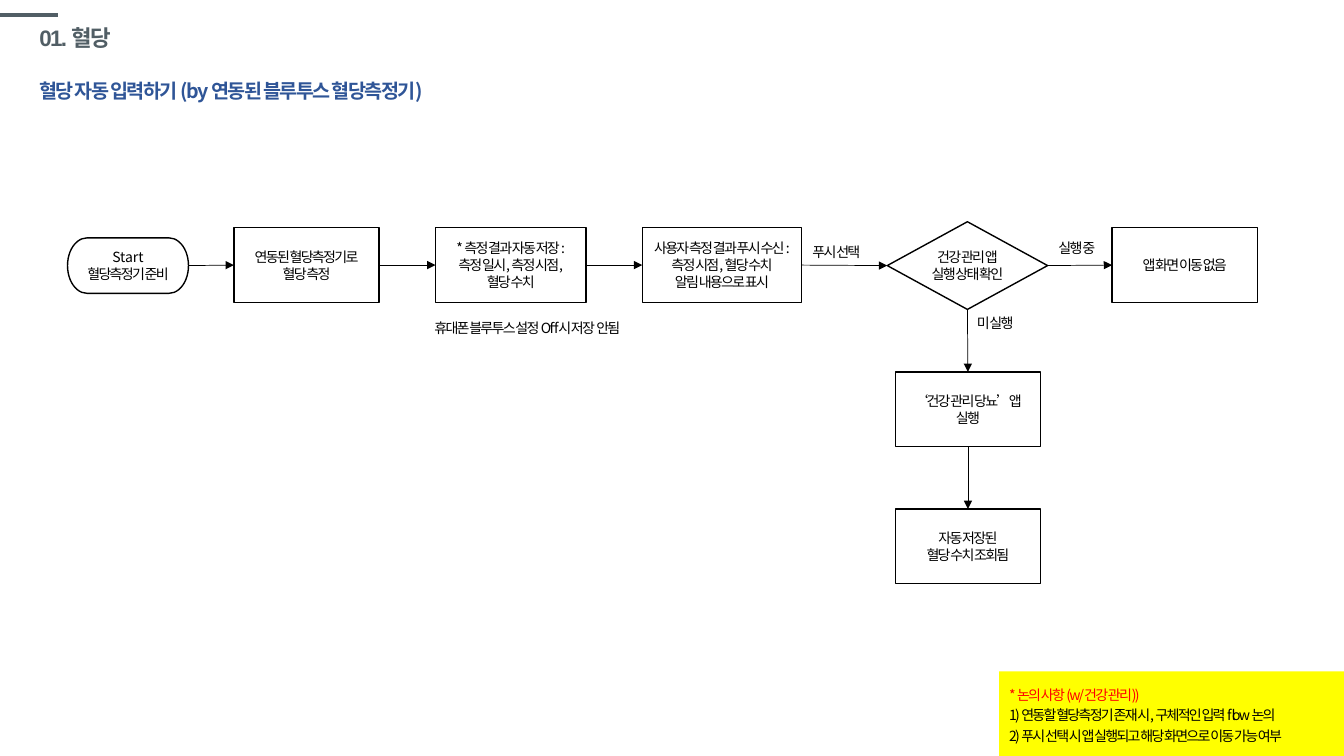
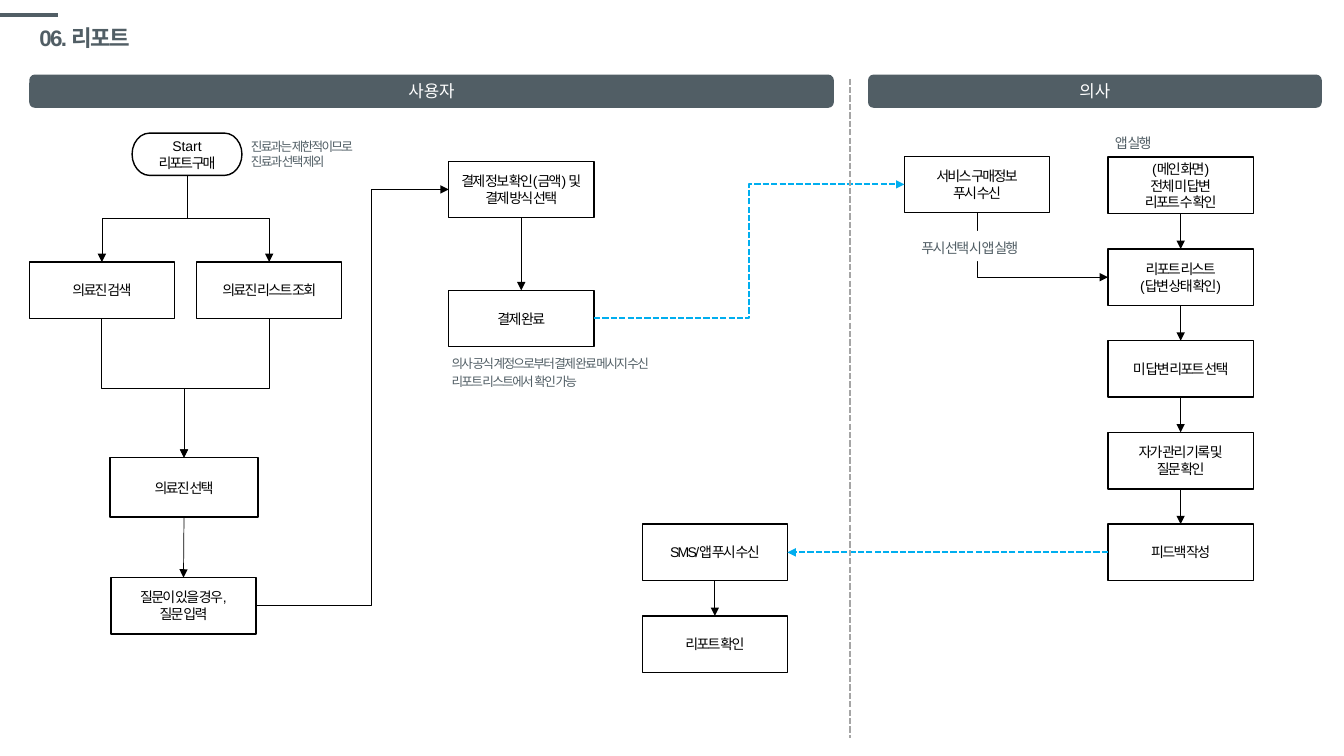
import lxml.etree
import pptx
import pptx.dml.color
import pptx.enum.dml
import pptx.enum.shapes
import pptx.enum.text
import pptx.oxml.ns
import pptx.util

Inches, Pt = pptx.util.Inches, pptx.util.Pt
SHAPE = pptx.enum.shapes.MSO_SHAPE
LINK = pptx.enum.shapes.MSO_CONNECTOR
ALIGN = pptx.enum.text.PP_ALIGN
ANCHOR = pptx.enum.text.MSO_ANCHOR
FIT = pptx.enum.text.MSO_AUTO_SIZE
DASH = pptx.enum.dml.MSO_LINE.SQUARE_DOT
qn = pptx.oxml.ns.qn

SANS, LATIN = "Noto Sans CJK KR", "Arial"
SLATE, BLACK, WHITE = "515E65", "000000", "FFFFFF"
NAVY, CYAN, GRAY, YELLOW, RED = "2F5597", "00AEEF", "A5A5A5", "FFFF00", "FF0000"
TOP, LEFT, BOTTOM, RIGHT = range(4)
BOX_W, TRACK = 1.44, -1.2


def rgb(value):
    """Turn a hex string into a colour."""
    return pptx.dml.color.RGBColor.from_string(value)


def set_all(target, formats):
    """Set every attribute named in a dict."""
    for name, value in formats.items():
        setattr(target, name, value)


def write(tf, text, size=10, font=SANS, color=BLACK, bold=False, track=TRACK,
          spacing=None, align=ALIGN.LEFT, first_color=None):
    """Fill a text frame with one formatted paragraph per line."""
    for i, line in enumerate(text.split("\n")):
        p = tf.paragraphs[0] if i == 0 else tf.add_paragraph()
        set_all(p, {"alignment": align, "line_spacing": spacing})
        r = p.add_run()
        r.text = line
        set_all(r.font, {"size": Pt(size), "name": font, "bold": bold})
        r.font.color.rgb = rgb(first_color if first_color and i == 0 else color)
        rpr = r._r.get_or_add_rPr()
        lxml.etree.SubElement(rpr, qn("a:ea")).set("typeface", SANS)
        if track and line != "Start":
            rpr.set("spc", str(round(track * 100)))


def shape(s, kind, x, y, w, h, text, fill=WHITE, outline=None, wrap=True, **style):
    """Add a filled preset shape with text."""
    sp = s.shapes.add_shape(kind, Inches(x), Inches(y), Inches(w), Inches(h))
    sp.shadow.inherit = False
    sp.fill.solid()
    sp.fill.fore_color.rgb = rgb(fill)
    if outline:
        sp.line.color.rgb = rgb(outline)
        sp.line.width = Pt(1)
    else:
        sp.line.fill.background()
    set_all(sp.text_frame, {"word_wrap": wrap, "vertical_anchor": ANCHOR.MIDDLE})
    write(sp.text_frame, text, **style)
    return sp


def step(s, x, y, text, w=BOX_W, h=0.56, kind=SHAPE.FLOWCHART_PROCESS, **style):
    """Add one outlined flowchart step."""
    return shape(s, kind, x, y, w, h, text, outline=BLACK, wrap=False,
                 align=ALIGN.CENTER, **style)


def label(s, x, y, w, h, text, spacing=1.2, fill=None, **style):
    """Add a text box that grows with its text."""
    tb = s.shapes.add_textbox(Inches(x), Inches(y), Inches(w), Inches(h))
    set_all(tb.text_frame, {"word_wrap": True, "auto_size": FIT.SHAPE_TO_FIT_TEXT})
    if fill:
        tb.fill.solid()
        tb.fill.fore_color.rgb = rgb(fill)
    write(tb.text_frame, text, spacing=spacing, **style)


def style_line(c, color=BLACK, width=0.5, dash=None, arrow=True):
    """Format a connector."""
    c.line.color.rgb = rgb(color)
    set_all(c.line, {"width": Pt(width), "dash_style": dash})
    if arrow:
        ln = c.line._get_or_add_ln()
        lxml.etree.SubElement(ln, qn("a:tailEnd")).set("type", "triangle")
    lxml.etree.SubElement(c._element.spPr, qn("a:effectLst"))


def rule(s, x1, y1, x2, y2, **style):
    """Draw a plain line."""
    ends = [Inches(v) for v in (x1, y1, x2, y2)]
    style_line(s.shapes.add_connector(LINK.STRAIGHT, *ends), arrow=False, **style)


def join(s, a, side_a, b, side_b, kind=LINK.STRAIGHT, bend=None, **style):
    """Join the sides of two shapes with an arrow."""
    c = s.shapes.add_connector(kind, 0, 0, 0, 0)
    c.begin_connect(a, side_a)
    c.end_connect(b, side_b)
    if bend:
        guide = lxml.etree.SubElement(next(c._element.iter(qn("a:avLst"))), qn("a:gd"))
        guide.set("name", "adj1")
        guide.set("fmla", f"val {round(bend * 100000)}")
    style_line(c, **style)


def chain(s, steps, side_out, side_in):
    """Join successive steps with straight arrows."""
    for a, b in zip(steps, steps[1:]):
        join(s, a, side_out, b, side_in)


def drop(s, a, b, into_side=False):
    """Draw an elbow arrow that leaves the bottom of a shape."""
    x1, y1 = a.left + a.width // 2, a.top + a.height
    x2, y2 = (b.left, b.top + b.height // 2) if into_side else (b.left + b.width // 2, b.top)
    cx, cy = (x1 + x2) // 2, (y1 + y2) // 2
    half_w, half_h = (y2 - y1) // 2, abs(x2 - x1) // 2
    sign = 1 if x2 > x1 else -1
    c = s.shapes.add_connector(LINK.ELBOW, cx + sign * half_w, cy - half_h,
                               cx - sign * half_w, cy + half_h)
    c.rotation = 270 if sign > 0 else 90
    if into_side:
        next(c._element.iter(qn("a:prstGeom"))).set("prst", "bentConnector2")
    style_line(c)


def titled_slide(prs, title):
    """Add a slide with the shared accent line and title."""
    s = prs.slides.add_slide(prs.slide_layouts[5])
    rule(s, 0, 0.15, 0.58, 0.15, color=SLATE, width=3)
    sp = s.shapes.title
    set_all(sp, {"left": Inches(0.29), "top": Inches(0.19),
                 "width": Inches(11.5), "height": Inches(0.39)})
    set_all(sp.text_frame, {"vertical_anchor": ANCHOR.MIDDLE, "auto_size": FIT.NONE,
                            "word_wrap": True})
    write(sp.text_frame, title, size=16, font=LATIN, color=SLATE, bold=True, spacing=0.9)
    return s


def glucose_flow(s, x, y):
    """Draw the automatic input flow from its top left corner."""
    tall = {"h": 0.74}
    start = step(s, x, y + 0.16, "Start\n혈당측정기 준비", w=1.2, h=0.55,
                 kind=SHAPE.FLOWCHART_TERMINATOR)
    measure = step(s, x + 1.65, y + 0.06, "연동된 혈당측정기로\n혈당 측정", **tall)
    save = step(s, x + 3.65, y + 0.06,
                "* 측정 결과 자동 저장 :\n측정 일시, 측정 시점,\n혈당 수치", w=1.49, **tall)
    push = step(s, x + 5.7, y + 0.06,
                "사용자 측정 결과 푸시 수신 :\n측정 시점, 혈당 수치\n알림 내용으로 표시",
                w=1.58, **tall)
    check = step(s, x + 8.13, y, "건강 관리 앱\n실행 상태 확인", w=1.59, h=0.87,
                 kind=SHAPE.FLOWCHART_DECISION)
    stay = step(s, x + 10.36, y + 0.06, "앱 화면 이동 없음", **tall)
    launch = step(s, x + 8.21, y + 1.49, "‘건강 관리 당뇨’앱\n실행", **tall)
    view = step(s, x + 8.21, y + 2.85, "자동 저장된\n혈당 수치 조회됨", **tall)
    chain(s, [start, measure, save, push, check, stay], RIGHT, LEFT)
    chain(s, [check, launch, view], BOTTOM, TOP)
    for dx, dy, w, text in ((7.29, 0.13, 0.82, "푸시 선택"),
                            (9.73, 0.09, 0.63, "실행 중"),
                            (8.92, 0.84, 0.73, "미 실행"),
                            (3.54, 0.89, 2.3, "휴대폰 블루투스 설정 Off 시 저장  안됨")):
        label(s, x + dx, y + dy, w, 0.3, text)


def glucose_slide(prs):
    """Build the blood glucose slide."""
    s = titled_slide(prs, "01. 혈당")
    label(s, 0.29, 0.62, 4.64, 0.41, "혈당 자동 입력하기 (by 연동된 블루투스 혈당측정기)",
          size=14, color=NAVY, bold=True, spacing=1.5)
    glucose_flow(s, 0.67, 2.2)
    shape(s, SHAPE.RECTANGLE, 9.91, 6.66, 3.43, 0.84,
          "* 논의 사항 (w/건강 관리))\n"
          "1) 연동할 혈당측정기 존재 시, 구체적인 입력 flow 논의\n"
          "2) 푸시 선택 시 앱 실행되고 해당 화면으로 이동 가능 여부",
          fill=YELLOW, spacing=1.2, first_color=RED)


def lane_header(s, x, y, w, text):
    """Draw the band that names a lane."""
    shape(s, SHAPE.ROUNDED_RECTANGLE, x, y, w, 0.33, text, fill=SLATE, size=12,
          color=WHITE, track=0, align=ALIGN.CENTER)


def user_lane(s, x, y, w):
    """Draw the user lane and return the steps that meet the other lane."""
    lane_header(s, x, y, w, "사용자")
    start = step(s, x + 1.02, y + 0.58, "Start\n리포트 구매", w=1.09, h=0.42,
                 kind=SHAPE.FLOWCHART_TERMINATOR, font=LATIN, track=-1.5)
    search = step(s, x, y + 1.86, "의료진 검색", font=LATIN)
    browse = step(s, x + 1.66, y + 1.86, "의료진 리스트 조회", font=LATIN)
    pick = step(s, x + 0.8, y + 3.8, "의료진 선택", w=1.47, h=0.59, font=LATIN)
    ask = step(s, x + 0.81, y + 4.99, "질문이 있을 경우,\n질문 입력", font=LATIN)
    pay = step(s, x + 4.16, y + 0.86, "결제 정보 확인(금액) 및\n결제 방식 선택", font=LATIN)
    paid = step(s, x + 4.16, y + 2.14, "결제 완료", font=LATIN)
    notice = step(s, x + 6.08, y + 4.46, "SMS/앱 푸시 수신", font=LATIN)
    report = step(s, x + 6.08, y + 5.37, "리포트 확인", font=LATIN)
    for option in (search, browse):
        drop(s, start, option)
        drop(s, option, pick)
    for pair in ((pick, ask), (pay, paid), (notice, report)):
        chain(s, pair, BOTTOM, TOP)
    join(s, ask, RIGHT, pay, LEFT, kind=LINK.ELBOW, bend=0.6)
    label(s, x + 4.09, y + 2.71, 2.48, 0.46,
          "의사 공식 계정으로부터 결제 완료 메시지 수신\n리포트 리스트에서  확인 가능",
          size=9, font=LATIN, color=SLATE)
    label(s, x + 2.1, y + 0.59, 1.37, 0.4, "진료과는 제한적이므로\n진료과 선택 제외",
          size=9, color=SLATE, spacing=None)
    return paid, notice


def doctor_lane(s, x, y, w):
    """Draw the doctor lane and return the steps that meet the other lane."""
    lane_header(s, x, y, w, "의사")
    push = step(s, x + 0.36, y + 0.81, "서비스 구매정보\n푸시 수신", font=LATIN)
    texts = ("(메인 화면)\n전체 미 답변\n리포트 수 확인", "리포트 리스트\n(답변 상태 확인)",
             "미 답변 리포트 선택", "자가 관리 기록 및\n질문 확인", "피드백 작성")
    steps = [step(s, x + 2.38, y + 0.82 + 0.91 * i, text, font=LATIN)
             for i, text in enumerate(texts)]
    chain(s, steps, BOTTOM, TOP)
    drop(s, push, steps[1], into_side=True)
    label(s, x + 0.43, y + 1.55, 1.42, 0.3, "푸시 선택 시 앱 실행", fill=WHITE,
          font=LATIN, color=SLATE)
    label(s, x + 2.35, y + 0.51, 0.7, 0.3, "앱 실행", font=LATIN, color=SLATE)
    return push, steps[-1]


def report_slide(prs):
    """Build the report slide."""
    s = titled_slide(prs, "06. 리포트")
    paid, notice = user_lane(s, 0.29, 0.74, 7.98)
    push, feedback = doctor_lane(s, 8.61, 0.74, 4.5)
    message = {"color": CYAN, "width": 1.5, "dash": DASH}
    join(s, paid, RIGHT, push, LEFT, kind=LINK.ELBOW, **message)
    join(s, feedback, LEFT, notice, RIGHT, **message)
    rule(s, 8.43, 0.78, 8.43, 7.32, color=GRAY, width=1.5, dash=DASH)


def main():
    """Build and save the presentation."""
    prs = pptx.Presentation()
    set_all(prs, {"slide_width": Inches(13.33), "slide_height": Inches(7.5)})
    glucose_slide(prs)
    report_slide(prs)
    prs.save("out.pptx")


if __name__ == "__main__":
    main()
